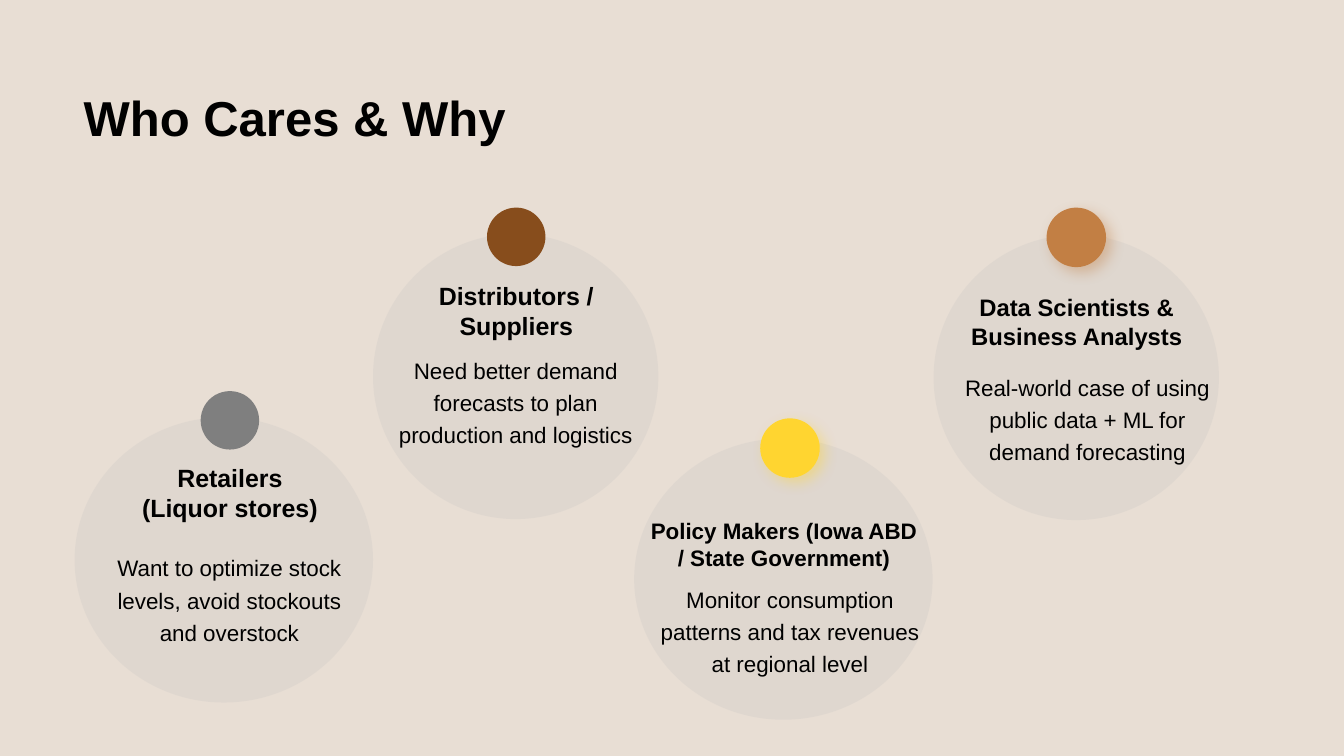
from dataclasses import dataclass

from lxml.etree import SubElement
from pptx import Presentation
from pptx.dml.color import RGBColor
from pptx.enum.shapes import MSO_SHAPE as Preset
from pptx.enum.text import MSO_ANCHOR as Anchor, MSO_AUTO_SIZE as AutoSize, PP_ALIGN as Align
from pptx.oxml.ns import qn
from pptx.util import Inches, Pt


@dataclass(frozen=True)
class Theme:
    font: str = "Arial"
    background: str = "E8DED4"
    bubble: str = "BFBFBF"
    text: str = "000000"
    brown: str = "874D1C"
    gray: str = "7F7F7F"
    yellow: str = "FFD530"
    copper: str = "C27F44"
    title_size: float = 35
    body_size: float = 16


THEME = Theme()
BODY_WIDTH = 2.83


@dataclass(frozen=True)
class Audience:
    """One stakeholder; boxes are (left, top, width, height) in inches."""
    heading: str
    heading_size: float
    reason: str
    bubble_box: tuple
    heading_box: tuple
    reason_at: tuple
    dot_box: tuple
    dot_color: str
    glowing: bool = False


AUDIENCES = [
    Audience("Distributors / Suppliers", 17.8,
             "Need better demand forecasts to plan production and logistics",
             (3.7, 2.32, 2.83, 2.83), (4.16, 3.07, 1.92, 0.36), (3.7, 3.44),
             (4.83, 2.06, 0.58, 0.58), THEME.brown),
    Audience("Retailers (Liquor stores)", 17.8,
             "Want to optimize stock levels, avoid stockouts and overstock",
             (0.74, 4.14, 2.96, 2.83), (1.25, 4.87, 2.06, 0.36), (0.86, 5.4),
             (1.99, 3.88, 0.58, 0.58), THEME.gray),
    Audience("Data Scientists & Business Analysts", 17,
             "Real-world case of using public data + ML for demand forecasting",
             (9.26, 2.33, 2.83, 2.83), (9.31, 3.16, 2.74, 0.36), (9.37, 3.61),
             (10.38, 2.06, 0.59, 0.59), THEME.copper, True),
    Audience("Policy Makers (Iowa ABD / State Government)", 16,
             "Monitor consumption patterns and tax revenues at regional level",
             (6.29, 4.35, 2.96, 2.79), (6.35, 5.35, 2.85, 0.36), (6.42, 5.71),
             (7.54, 4.15, 0.59, 0.59), THEME.yellow, True),
]


def inches(box):
    return [Inches(length) for length in box]


def write(paragraph, text, size, bold=False):
    run = paragraph.add_run()
    run.text = text
    font = run.font
    font.name, font.size, font.bold = THEME.font, Pt(size), bold
    font.color.rgb = RGBColor.from_string(THEME.text)


def add_title(slide, text):
    title = slide.shapes.title
    title.left, title.top, title.width, title.height = inches((0.73, 0.56, 5.47, 0.94))
    frame = title.text_frame
    frame.auto_size = AutoSize.NONE
    frame.vertical_anchor = Anchor.BOTTOM
    paragraph = frame.paragraphs[0]
    paragraph.alignment = Align.LEFT
    write(paragraph, text, THEME.title_size, bold=True)


def add_disc(slide, preset, box, color):
    disc = slide.shapes.add_shape(preset, *inches(box))
    disc.shadow.inherit = False
    disc.fill.solid()
    disc.fill.fore_color.rgb = RGBColor.from_string(color)
    disc.line.fill.background()
    return disc


def add_bubble(slide, box):
    bubble = add_disc(slide, Preset.OVAL, box, THEME.bubble)
    color = bubble.fill._xPr.find(".//" + qn("a:srgbClr"))
    SubElement(color, qn("a:alpha"), val="20000")


def add_dot(slide, audience):
    preset = Preset.ROUNDED_RECTANGLE if audience.glowing else Preset.OVAL
    dot = add_disc(slide, preset, audience.dot_box, audience.dot_color)
    if audience.glowing:
        dot.adjustments[0] = 0.5
        effects = dot.element.spPr.find(qn("a:effectLst"))
        shadow = SubElement(effects, qn("a:outerShdw"), blurRad=str(Pt(10)), dist=str(Pt(5)),
                            dir="2700000", algn="tl", rotWithShape="0")
        color = SubElement(shadow, qn("a:srgbClr"), val=audience.dot_color)
        SubElement(color, qn("a:alpha"), val="40000")


def add_text(slide, box, text, size, anchor=Anchor.TOP, bold=False, line_spacing=None):
    frame = slide.shapes.add_textbox(*inches(box)).text_frame
    frame.word_wrap = True
    frame.vertical_anchor = anchor
    paragraph = frame.paragraphs[0]
    paragraph.alignment = Align.CENTER
    paragraph.line_spacing = line_spacing
    write(paragraph, text, size, bold)


def add_audience(slide, audience):
    add_bubble(slide, audience.bubble_box)
    add_text(slide, audience.heading_box, audience.heading, audience.heading_size,
             anchor=Anchor.BOTTOM, bold=True)
    add_text(slide, (*audience.reason_at, BODY_WIDTH, 0.43), audience.reason,
             THEME.body_size, line_spacing=1.2)
    add_dot(slide, audience)


def main():
    presentation = Presentation()
    presentation.slide_width, presentation.slide_height = Inches(13.33), Inches(7.5)
    slide = presentation.slides.add_slide(presentation.slide_layouts.get_by_name("Title Only"))
    slide.background.fill.solid()
    slide.background.fill.fore_color.rgb = RGBColor.from_string(THEME.background)
    add_title(slide, "Who Cares & Why")
    for audience in AUDIENCES:
        add_audience(slide, audience)
    presentation.save("out.pptx")


if __name__ == "__main__":
    main()
